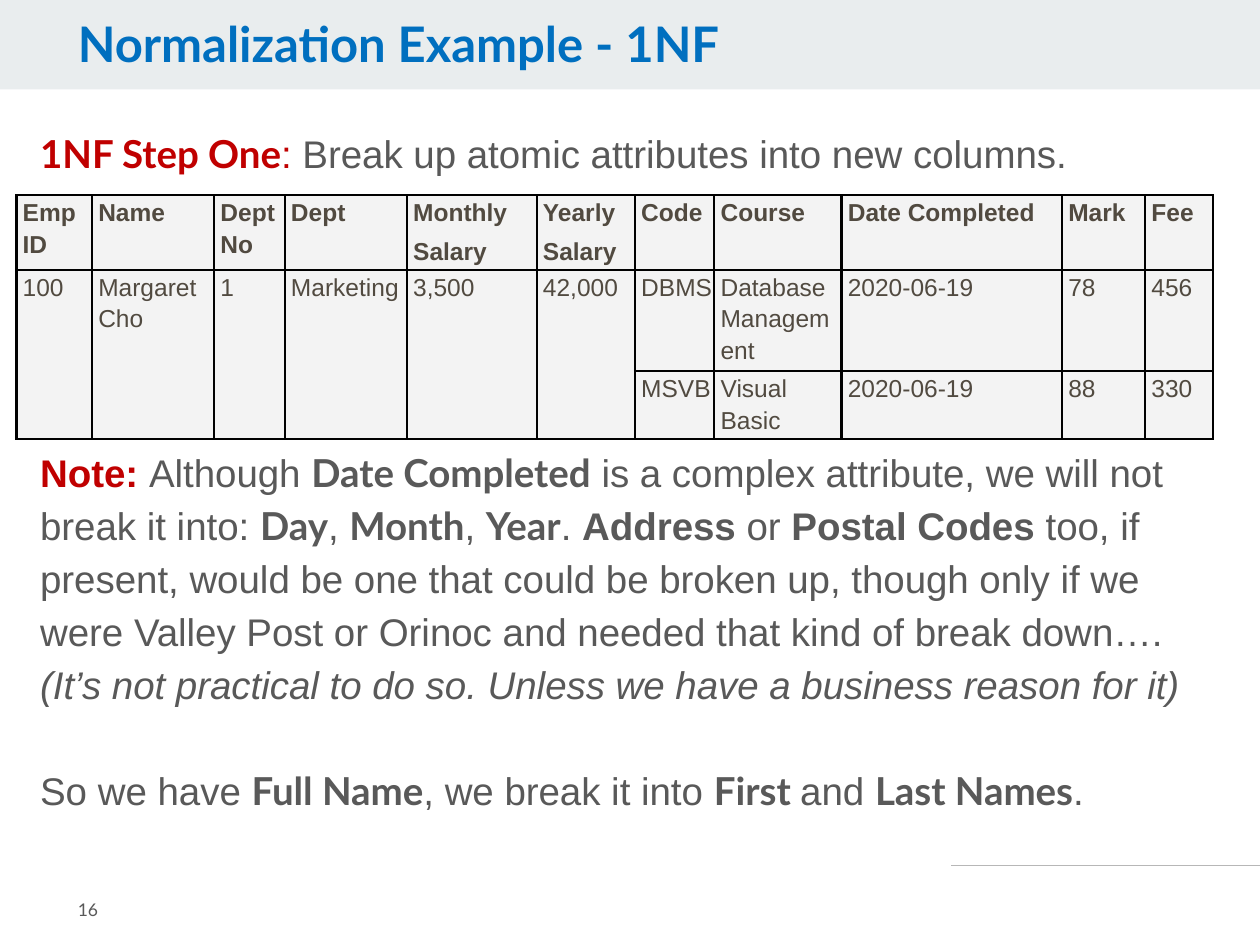
from lxml.etree import SubElement
from pptx import Presentation
from pptx.dml.color import RGBColor
from pptx.enum.shapes import MSO_CONNECTOR as CONN, MSO_SHAPE as SHAPE
from pptx.enum.text import MSO_ANCHOR as ANCHOR
from pptx.oxml.ns import qn
from pptx.util import Inches, Pt

COLORS = {"band": "E9EDEE", "title": "006FBF", "accent": "C00000", "body": "595959",
          "rule": "B7B7B7", "cell": "F3F3F3", "cell_text": "514A40", "border": "000000"}

# Run styles: font, bold, italic, colour
STYLES = {
    "title": ("Lato", True, False, "title"),
    "number": ("Lato", False, False, "body"),
    "step": ("Lato", True, False, "accent"),
    "colon": ("Arial", False, False, "accent"),
    "note": ("Arial", True, False, "accent"),
    "plain": ("Arial", False, False, "body"),
    "strong": ("Arial", True, False, "body"),
    "term": ("Lato", True, False, "body"),
    "aside": ("Arial", False, True, "body"),
    "head": ("Arial", True, False, "cell_text"),
    "cell": ("Arial", False, False, "cell_text"),
}

TITLE = [[("Normalization Example - 1NF", "title")]]
NUMBER = [[("16", "number")]]
STEP = [[("1NF Step One", "step"), (": ", "colon"),
         ("Break up atomic attributes into new columns.", "plain")]]
NOTE = [
    [("Note: ", "note"), ("Although ", "plain"), ("Date Completed", "term"),
     (" is a complex attribute, we will not break it into: ", "plain"),
     ("Day", "term"), (", ", "plain"), ("Month", "term"), (", ", "plain"),
     ("Year", "term"), (". ", "plain"), ("Address", "strong"), (" or ", "plain"),
     ("Postal Codes", "strong"),
     (" too, if present, would be one that could be broken up, though only if we "
      "were Valley Post or Orinoc and needed that kind of break down….", "plain")],
    [("(It’s not practical to do so. Unless we have a business reason for it)", "aside")],
    [("So we have ", "plain"), ("Full Name", "term"), (", we break it into ", "plain"),
     ("First ", "term"), ("and ", "plain"), ("Last Names", "term"), (".", "plain")],
]

# Columns: heading lines and width
COLUMNS = [(["Emp ID"], 0.6), (["Name"], 0.97), (["Dept No"], 0.56), (["Dept"], 0.97),
           (["Monthly", "Salary"], 1.03), (["Yearly", "Salary"], 0.78), (["Code"], 0.63),
           (["Course"], 1.01), (["Date Completed"], 1.75), (["Mark"], 0.66), (["Fee"], 0.54)]
EMPLOYEE = ["100", "Margaret Cho", "1", "Marketing", "3,500", "42,000"]
COURSES = [["DBMS", "Database Management", "2020-06-19", "78", "456"],
           ["MSVB", "Visual Basic", "2020-06-19", "88", "330"]]
ROW_HEIGHTS = [0.56, 0.75, 0.5]


def rgb(name):
    return RGBColor.from_string(COLORS[name])


def write(tf, paragraphs, size, spacing=1.0, gaps=None):
    """Fill a text frame; gaps maps a paragraph index to its space before."""
    for i, runs in enumerate(paragraphs):
        p = tf.paragraphs[0] if i == 0 else tf.add_paragraph()
        p.line_spacing = spacing
        p.space_before = Pt((gaps or {}).get(i, 0))
        for text, style in runs:
            r = p.add_run()
            r.text = text
            r.font.name, r.font.bold, r.font.italic, color = STYLES[style]
            r.font.size = Pt(size)
            r.font.color.rgb = rgb(color)


def add_text(box, paragraphs, size, spacing=1.0, gaps=None, anchor=ANCHOR.TOP):
    tf = slide.shapes.add_textbox(*map(Inches, box)).text_frame
    tf.word_wrap = True
    tf.vertical_anchor = anchor
    write(tf, paragraphs, size, spacing, gaps)


def style_cell(cell):
    cell.margin_left = Inches(0.05)
    cell.margin_right = cell.margin_top = cell.margin_bottom = 0
    tc_pr = cell._tc.get_or_add_tcPr()
    for side in ("lnL", "lnR", "lnT", "lnB"):
        ln = SubElement(tc_pr, qn(f"a:{side}"), w=str(Pt(1.5)))
        SubElement(SubElement(ln, qn("a:solidFill")), qn("a:srgbClr"), val=COLORS["border"])
    cell.fill.solid()
    cell.fill.fore_color.rgb = rgb("cell")


prs = Presentation()
prs.slide_width, prs.slide_height = Inches(10), Inches(7.5)
slide = prs.slides.add_slide(prs.slide_layouts[6])

# Footer rule and title band
rule = slide.shapes.add_connector(CONN.STRAIGHT, Inches(7.55), Inches(6.87),
                                  Inches(10), Inches(6.87))
rule.line.color.rgb = rgb("rule")
rule.line.width = Pt(0.75)
SubElement(rule._element.spPr, qn("a:effectLst"))

band = slide.shapes.add_shape(SHAPE.RECTANGLE, 0, 0, prs.slide_width, Inches(0.71))
band.shadow.inherit = False
band.fill.solid()
band.fill.fore_color.rgb = rgb("band")
band.line.fill.background()

# Title, body and slide number
add_text((0.52, 0.11, 7.88, 0.55), TITLE, 28, 0.9)
add_text((0.22, 0.93, 9.65, 0.55), STEP, 22, 1.15)
add_text((0.22, 3.46, 9.65, 3.1), NOTE, 22, 1.15, gaps={2: 30})
add_text((0.52, 6.93, 1.23, 0.57), NUMBER, 10, anchor=ANCHOR.MIDDLE)

# Employee table
table = slide.shapes.add_table(
    len(ROW_HEIGHTS), len(COLUMNS), Inches(0.13), Inches(1.55),
    Inches(sum(w for _, w in COLUMNS)), Inches(sum(ROW_HEIGHTS))).table
for row, height in zip(table.rows, ROW_HEIGHTS):
    row.height = Inches(height)
for column, (_, width) in zip(table.columns, COLUMNS):
    column.width = Inches(width)
for cell in table.iter_cells():
    style_cell(cell)

for c, (lines, _) in enumerate(COLUMNS):
    write(table.cell(0, c).text_frame, [[(t, "head")] for t in lines], 14, 1.15, {1: 4})
for c, text in enumerate(EMPLOYEE):
    table.cell(1, c).merge(table.cell(2, c))
    write(table.cell(1, c).text_frame, [[(text, "cell")]], 14, 1.15)
for r, course in enumerate(COURSES, 1):
    for c, text in enumerate(course, len(EMPLOYEE)):
        write(table.cell(r, c).text_frame, [[(text, "cell")]], 14, 1.15)

prs.save("out.pptx")
